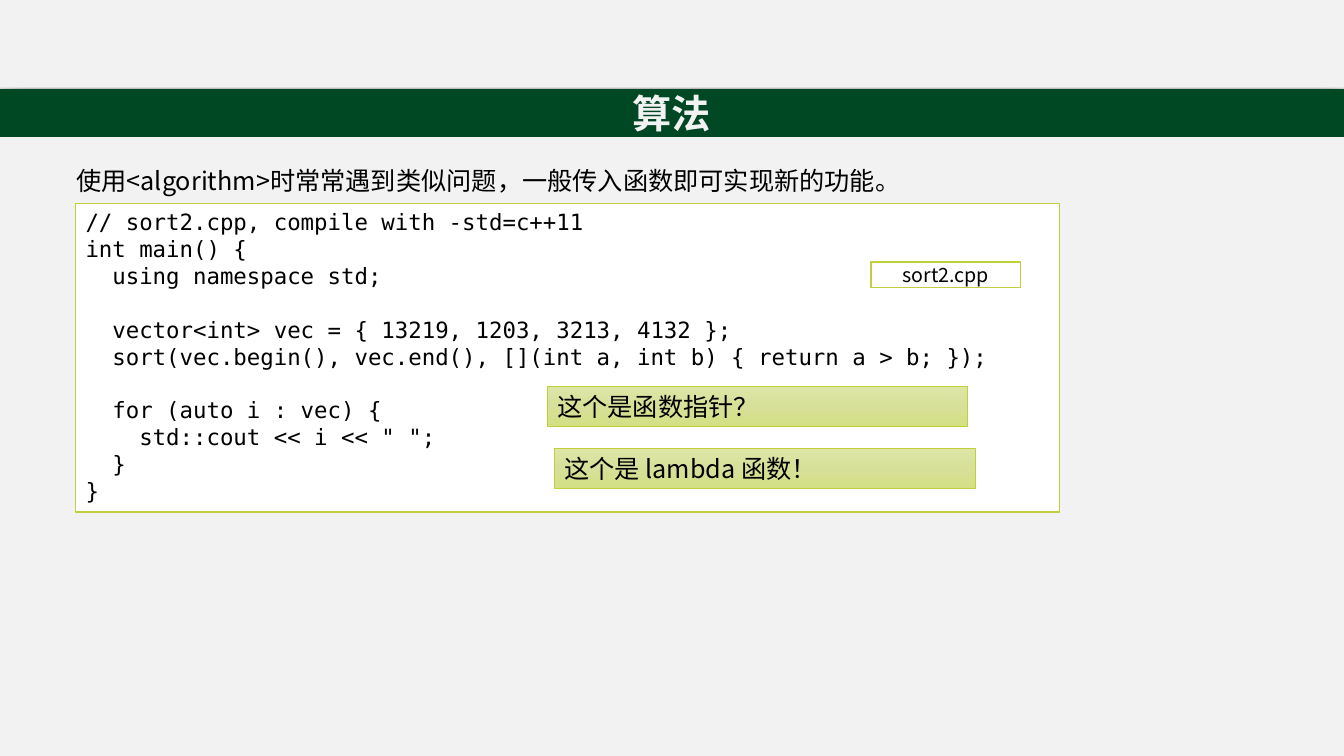
from copy import deepcopy
from dataclasses import dataclass

from lxml import etree
from pptx import Presentation
from pptx.dml.color import RGBColor
from pptx.enum import shapes, text
from pptx.oxml import ns
from pptx import util as u


@dataclass(frozen=True)
class Theme:
    paper: str = "F2F2F2"
    band: str = "004723"
    ink: str = "000000"
    white: str = "FFFFFF"
    lime: str = "C0CF3A"
    note_fill: tuple[str, ...] = ("DDE6A6", "D7E098", "D4E084")
    sans: str = "Noto Sans CJK SC"
    mono: str = "DejaVu Sans Mono"
    title_size: float = 28
    body_size: float = 18
    code_size: float = 16
    code_pitch: float = 19.2
    label_size: float = 14


THEME = Theme()


@dataclass(frozen=True)
class Panel:
    left: float
    top: float
    width: float
    height: float
    fill: tuple[str, ...] = ()
    line: str = ""
    line_width: float = 1
    words: str = ""
    size: float = THEME.body_size
    font: str = THEME.sans
    color: str = THEME.ink
    bold: bool = False
    centered: bool = False
    pitch: float = 0


CODE = """\
// sort2.cpp, compile with -std=c++11
int main() {
  using namespace std;

  vector<int> vec = { 13219, 1203, 3213, 4132 };
  sort(vec.begin(), vec.end(), [](int a, int b) { return a > b; });

  for (auto i : vec) {
    std::cout << i << " ";
  }
}"""

BACKDROP = Panel(0, 0, 13.33, 7.5, (THEME.paper,))
HEADER = Panel(0, 0, 13.33, 0.87, (THEME.paper,))
TITLE = Panel(0, 0.89, 13.33, 0.46, (THEME.band,), THEME.band, words="算法",
              size=THEME.title_size, color=THEME.paper, bold=True, centered=True)
INTRO = Panel(0.66, 1.59, 8.95, 0.4,
              words="使用<algorithm>时常常遇到类似问题，一般传入函数即可实现新的功能。")
LISTING = Panel(0.75, 2.02, 9.76, 3.06, (THEME.white,), THEME.lime, words=CODE,
                size=THEME.code_size, font=THEME.mono, pitch=THEME.code_pitch)
FILE_LABEL = Panel(8.64, 2.6, 1.48, 0.25, (THEME.white,), THEME.lime,
                   words="sort2.cpp", size=THEME.label_size, centered=True)
NOTES = [
    Panel(left, top, 4.17, 0.4, THEME.note_fill, THEME.lime, 0.5, words)
    for left, top, words in ((5.43, 3.83, "这个是函数指针？"),
                             (5.5, 4.45, "这个是 lambda 函数！"))
]


def rgb(value: str) -> RGBColor:
    return RGBColor.from_string(value)


def paint(box, colors: tuple[str, ...]) -> None:
    """Fill a box with one colour or a downward three-stop gradient."""
    if len(colors) == 1:
        box.fill.solid()
        box.fill.fore_color.rgb = rgb(colors[0])
        return
    box.fill.gradient()
    box.fill.gradient_angle = 270
    first = box._element.spPr.find(".//" + ns.qn("a:gs"))
    middle = deepcopy(first)
    middle.set("pos", "50000")
    first.addnext(middle)
    for stop, color in zip(box.fill.gradient_stops, colors):
        stop.color.rgb = rgb(color)


def write(box, panel: Panel) -> None:
    """Write the lines; an empty code line becomes space before the next."""
    frame = box.text_frame
    frame.word_wrap = True
    frame.vertical_anchor = (text.MSO_ANCHOR.MIDDLE if panel.centered
                             else text.MSO_ANCHOR.TOP)
    para, gap = frame.paragraphs[0], 0.0
    for index, line in enumerate(panel.words.split("\n")):
        if not line:
            gap += panel.pitch
            continue
        if index:
            para = frame.add_paragraph()
        para.alignment = text.PP_ALIGN.CENTER if panel.centered else text.PP_ALIGN.LEFT
        if panel.pitch:
            para.line_spacing = u.Pt(panel.pitch)
        if gap:
            para.space_before, gap = u.Pt(gap), 0.0
        span = para.add_run()
        span.text = line
        span.font.name = panel.font
        span.font.size = u.Pt(panel.size)
        span.font.bold = panel.bold
        span.font.color.rgb = rgb(panel.color)
        east_asian = etree.SubElement(span.font._element, ns.qn("a:ea"))
        east_asian.set("typeface", THEME.sans)
        span.font._element.find(ns.qn("a:latin")).addnext(east_asian)


def draw(page, panel: Panel):
    place = [u.Inches(n) for n in (panel.left, panel.top, panel.width, panel.height)]
    if panel.fill:
        box = page.shapes.add_shape(shapes.MSO_SHAPE.RECTANGLE, *place)
        box.shadow.inherit = False
        paint(box, panel.fill)
        if panel.line:
            box.line.color.rgb = rgb(panel.line)
            box.line.width = u.Pt(panel.line_width)
        else:
            box.line.fill.background()
    else:
        box = page.shapes.add_textbox(*place)
    if panel.words:
        write(box, panel)
    return box


def cast_shadow(box) -> None:
    """Give a box a soft shadow that falls straight down."""
    effects = box._element.spPr.find(ns.qn("a:effectLst"))
    shadow = etree.SubElement(effects, ns.qn("a:outerShdw"), blurRad=str(u.Pt(18)),
                              dist=str(u.Pt(4)), dir="5400000", rotWithShape="0")
    color = etree.SubElement(shadow, ns.qn("a:srgbClr"), val=THEME.ink)
    etree.SubElement(color, ns.qn("a:alpha"), val="29000")


def main() -> None:
    deck = Presentation()
    deck.slide_width, deck.slide_height = u.Inches(13.33), u.Inches(7.5)
    page = deck.slides.add_slide(deck.slide_layouts[6])

    # Backdrop and header
    draw(page, BACKDROP)
    cast_shadow(draw(page, HEADER))

    # Title, introduction, code and its notes
    for panel in (TITLE, INTRO, LISTING, FILE_LABEL, *NOTES):
        draw(page, panel)

    deck.save("out.pptx")


if __name__ == "__main__":
    main()
